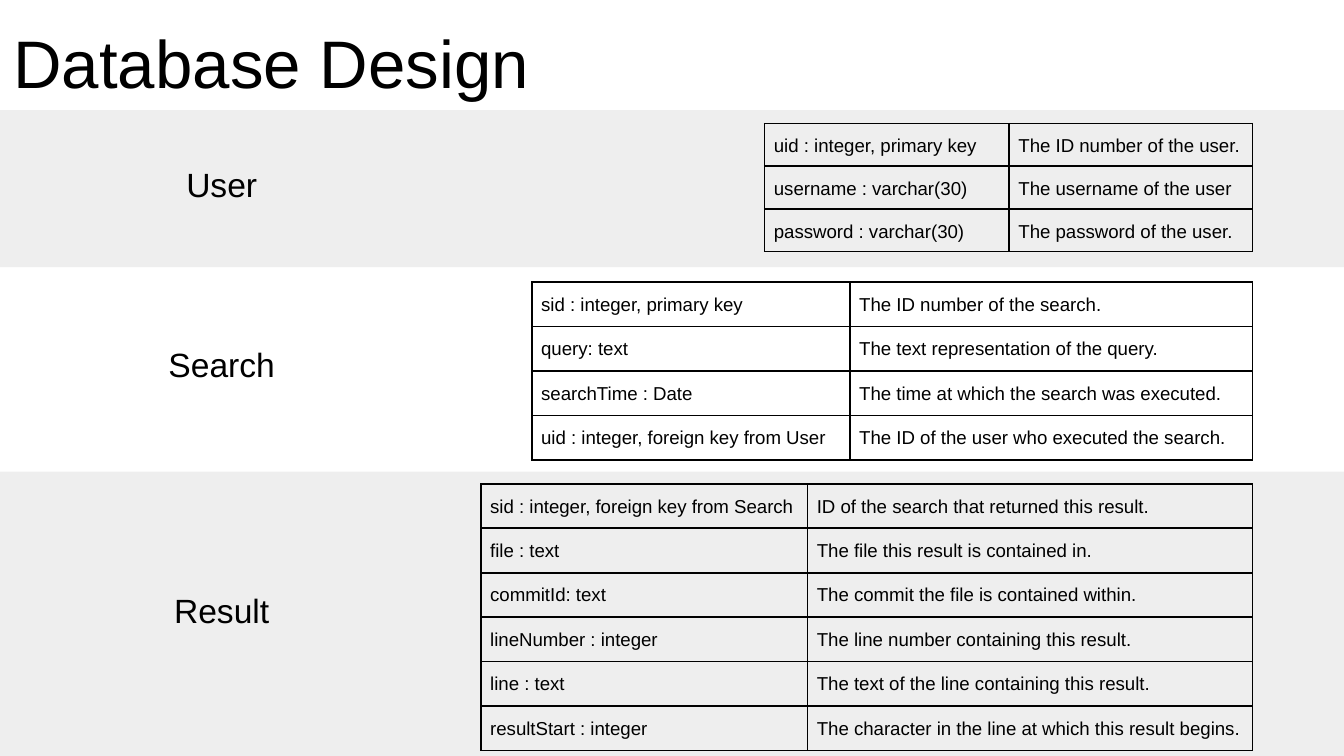
from pptx import Presentation
from pptx.dml.color import RGBColor
from pptx.enum.shapes import MSO_SHAPE as Shape
from pptx.enum.text import MSO_ANCHOR as Anchor, MSO_AUTO_SIZE as Auto, PP_ALIGN as Align
from pptx.oxml import parse_xml
from pptx.oxml.ns import nsdecls
from pptx.util import Pt

BLACK = RGBColor(0, 0, 0)
WHITE = RGBColor(255, 255, 255)
GREY = RGBColor(0xEE, 0xEE, 0xEE)

RIGHT = 671     # shared right edge of the tables
MIDDLE = 118.8  # shared centre line of the labels

# label, label width, label top, table top, column widths, rows
TABLES = [
    ("User", 84.2, 80.6, 66.2, (131, 130.4), [
        ("uid : integer, primary key", "The ID number of the user."),
        ("username : varchar(30)", "The username of the user"),
        ("password : varchar(30)", "The password of the user."),
    ]),
    ("Search", 96.5, 177.1, 151.2, (170.4, 215.7), [
        ("sid : integer, primary key", "The ID number of the search."),
        ("query: text", "The text representation of the query."),
        ("searchTime : Date", "The time at which the search was executed."),
        ("uid : integer, foreign key from User", "The ID of the user who executed the search."),
    ]),
    ("Result", 96.5, 308.9, 259.2, (175, 238.4), [
        ("sid : integer, foreign key from Search", "ID of the search that returned this result."),
        ("file : text", "The file this result is contained in."),
        ("commitId: text", "The commit the file is contained within."),
        ("lineNumber : integer", "The line number containing this result."),
        ("line : text", "The text of the line containing this result."),
        ("resultStart : integer", "The character in the line at which this result begins."),
    ]),
]


class Deck:
    font = "Arial"
    ink = BLACK
    pad = 7.2
    cell_pad = 5
    row_pitch = 23.76

    def __init__(self, width, height):
        self.prs = Presentation()
        self.prs.slide_width, self.prs.slide_height = Pt(width), Pt(height)
        self.slide = self.prs.slides.add_slide(self.prs.slide_layouts[5])
        fill = self.slide.background.fill
        fill.solid()
        fill.fore_color.rgb = WHITE

    def apply(self, item, **values):
        for name, value in values.items():
            setattr(item, name, value)

    def inset(self, item, pad):
        for side in ("left", "right", "top", "bottom"):
            setattr(item, f"margin_{side}", Pt(pad))

    def text(self, frame, words, size, align=Align.LEFT, spacing=None):
        para = frame.paragraphs[0]
        self.apply(para, alignment=align, line_spacing=spacing)
        run = para.add_run()
        run.text = words
        self.apply(run.font, name=self.font, size=Pt(size))
        run.font.color.rgb = self.ink

    def band(self, left, top, width, height):
        band = self.slide.shapes.add_shape(
            Shape.RECTANGLE, Pt(left), Pt(top), Pt(width), Pt(height))
        band.shadow.inherit = False
        band.fill.solid()
        band.fill.fore_color.rgb = GREY
        band.line.fill.background()

    def title(self, words, width, height):
        title = self.slide.shapes.title
        self.apply(title, left=0, top=0, width=Pt(width), height=Pt(height))
        frame = title.text_frame
        self.apply(frame, word_wrap=True, auto_size=Auto.NONE, vertical_anchor=Anchor.MIDDLE)
        self.inset(frame, self.pad)
        self.text(frame, words, 36)
        title.element.getparent().append(title.element)  # in front of the bands

    def label(self, words, width, top):
        box = self.slide.shapes.add_textbox(
            Pt(MIDDLE - width / 2), Pt(top), Pt(width), Pt(42.5))
        box.text_frame.word_wrap = True
        self.inset(box.text_frame, self.pad)
        self.text(box.text_frame, words, 18, Align.CENTER)

    def border(self, cell):
        props = cell._tc.get_or_add_tcPr()
        for side in "LRTB":
            props.append(parse_xml(
                f'<a:ln{side} {nsdecls("a")} w="{Pt(1)}"><a:solidFill>'
                f'<a:srgbClr val="{self.ink}"/></a:solidFill></a:ln{side}>'))

    def table(self, top, widths, rows):
        width, height = sum(widths), self.row_pitch * len(rows)
        holder = self.slide.shapes.add_table(
            len(rows), len(widths), Pt(RIGHT - width), Pt(top), Pt(width), Pt(height))
        table = holder.table
        self.apply(table, first_row=False, horz_banding=False)
        for column, size in zip(table.columns, widths):
            column.width = Pt(size)
        for r, row in enumerate(rows):
            table.rows[r].height = 0  # rows grow to fit their text
            for c, words in enumerate(row):
                cell = table.cell(r, c)
                self.inset(cell, self.cell_pad)
                self.border(cell)
                cell.fill.background()
                self.text(cell.text_frame, words, 10, spacing=1.15)
        holder.height = Pt(height)


def main():
    deck = Deck(720, 405)

    # Background bands and title
    deck.band(-23, 252.7, 753.1, 162)
    deck.band(-16.6, 59, 753.1, 84.2)
    deck.title("Database Design", RIGHT, 66.2)

    # One labelled table per entity
    for name, width, label_top, top, columns, rows in TABLES:
        deck.table(top, columns, rows)
        deck.label(name, width, label_top)

    deck.prs.save("out.pptx")


if __name__ == "__main__":
    main()
